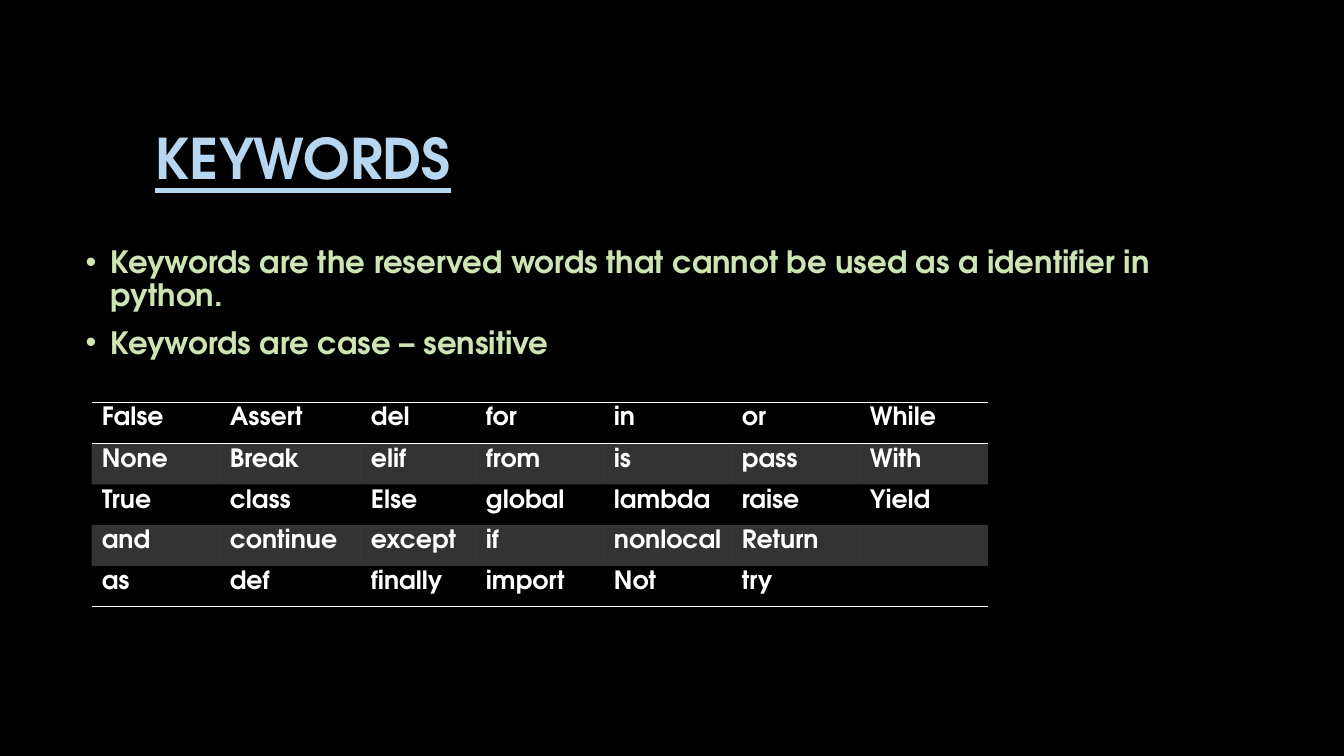
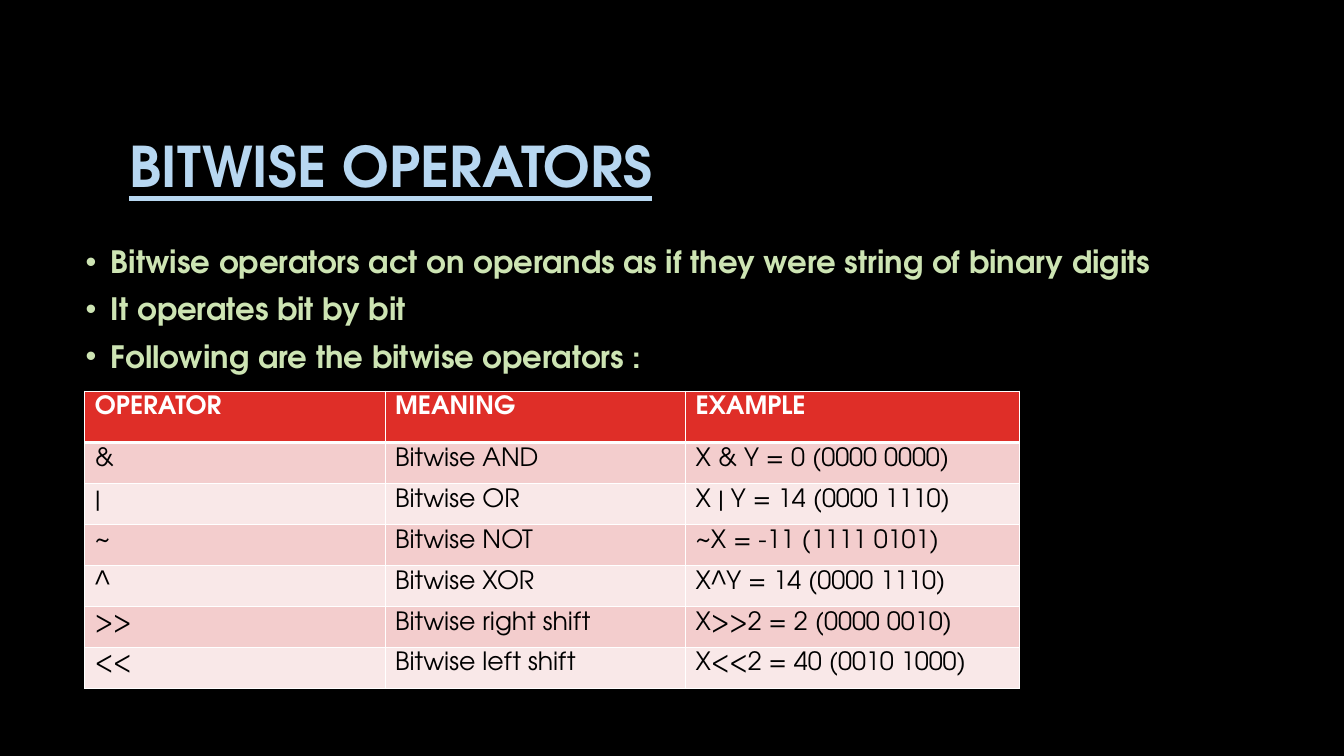
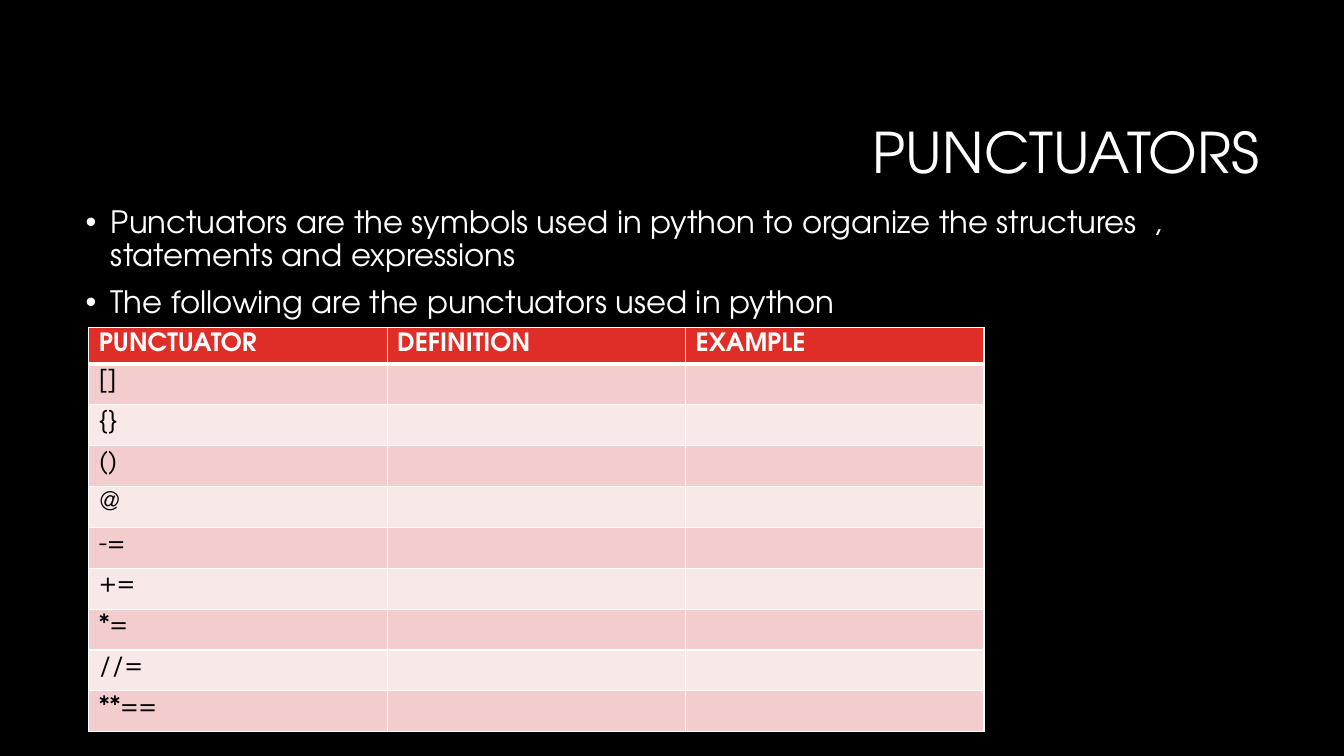
from dataclasses import dataclass

from lxml.etree import SubElement
from pptx import Presentation
from pptx.dml.color import RGBColor
from pptx.enum.text import MSO_ANCHOR, MSO_AUTO_SIZE, PP_ALIGN
from pptx.oxml.ns import qn
from pptx.util import Inches, Pt


@dataclass(frozen=True)
class Theme:
    font: str = "TeX Gyre Adventor"
    back: str = "000000"
    light: str = "FFFFFF"
    dark: str = "000000"
    blue: str = "B7D7F1"
    green: str = "CDE4B3"
    red: str = "DF2E28"
    bands: tuple = ("F3CDCD", "F9E8E8")
    veil: int = 20
    title: int = 40
    body: int = 22
    cell: int = 18
    thin: int = 1
    thick: int = 3
    plain: str = "{2D5ABB26-0587-4C30-8999-92F81FD0307C}"


THEME = Theme()
LEFT, RIGHT = PP_ALIGN.LEFT, PP_ALIGN.RIGHT

SLIDES = [
    {
        "title": "KEYWORDS", "box": (1.44, 0.9, 9.42, 1.41),
        "align": LEFT, "accent": True, "top": 2.4,
        "points": [
            "Keywords are the reserved words that cannot be used as a identifier in python.",
            "Keywords are case – sensitive",
        ],
        "style": "lined", "at": (0.91, 3.99),
        "cols": [1.27, 1.4, 1.14] + [1.27] * 4, "head": 0.41, "high": 2.03,
        "rows": [
            ("False", "Assert", "del", "for", "in", "or", "While"),
            ("None", "Break", "elif", "from", "is", "pass", "With"),
            ("True", "class", "Else", "global", "lambda", "raise", "Yield"),
            ("and", "continue", "except", "if", "nonlocal", "Return", ""),
            ("as", "def", "finally", "import", "Not", "try", ""),
        ],
    },
    {
        "title": "BITWISE OPERATORS", "box": (0, 0.98, 6.57, 1.41),
        "align": RIGHT, "accent": True, "top": 2.4,
        "points": [
            "Bitwise operators act on operands as if they were string of binary digits",
            "It operates bit by bit",
            "Following are the bitwise operators :",
        ],
        "style": "grid", "at": (0.84, 3.88),
        "cols": [2.98, 2.98, 3.31], "head": 0.51, "high": 2.95,
        "rows": [
            ("OPERATOR", "MEANING", "EXAMPLE"),
            ("&", "Bitwise AND", "X & Y = 0 (0000 0000)"),
            ("|", "Bitwise OR", "X | Y = 14 (0000 1110)"),
            ("~", "Bitwise NOT", "~X = -11 (1111 0101)"),
            ("^", "Bitwise XOR", "X^Y = 14 (0000 1110)"),
            (">>", "Bitwise right shift", "X>>2 = 2 (0000 0010)"),
            ("<<", "Bitwise left shift", "X<<2 = 40 (0010 1000)"),
        ],
    },
    {
        "title": "PUNCTUATORS", "box": (3.17, 0.84, 9.42, 1.41),
        "align": RIGHT, "accent": False, "top": 2,
        "points": [
            "Punctuators are the symbols used in python to organize the structures  , "
            "statements and expressions",
            "The following are the punctuators used in python",
        ],
        "style": "grid", "at": (0.88, 3.25),
        "cols": [2.96] * 3, "head": 0.36, "high": 3.6,
        "rows": [("PUNCTUATOR", "DEFINITION", "EXAMPLE")] + [
            (sign, "", "")
            for sign in ("[]", "{}", "()", "@", "-=", "+=", "*=", "//=", "**==")
        ],
    },
]


def place(shape, box):
    shape.left, shape.top, shape.width, shape.height = map(Inches, box)


def write(para, text, size, color, bold=False, line=False):
    run = para.add_run()
    run.text = text
    font = run.font
    font.name, font.size = THEME.font, Pt(size)
    font.bold, font.underline = bold, line
    font.color.rgb = RGBColor.from_string(color)


def frame_of(shape, anchor):
    frame = shape.text_frame
    frame.word_wrap = True
    frame.auto_size = MSO_AUTO_SIZE.NONE
    frame.vertical_anchor = anchor
    return frame


def add_title(slide, data):
    shape = slide.shapes.title
    place(shape, data["box"])
    para = frame_of(shape, MSO_ANCHOR.MIDDLE).paragraphs[0]
    para.alignment, para.line_spacing = data["align"], 0.9
    accent = data["accent"]
    color = THEME.blue if accent else THEME.light
    write(para, data["title"], THEME.title, color, accent, accent)


def add_points(slide, data):
    shape = slide.placeholders[1]
    place(shape, (0.75, data["top"], 11.83, 4.4))
    frame = frame_of(shape, MSO_ANCHOR.TOP)
    accent = data["accent"]
    color = THEME.green if accent else THEME.light
    for i, text in enumerate(data["points"]):
        para = frame.add_paragraph() if i else frame.paragraphs[0]
        para.alignment, para.line_spacing = LEFT, 0.9
        para.space_before = Pt(10)
        props = para._p.get_or_add_pPr()
        props.set("marL", str(Inches(0.25)))
        props.set("indent", str(Inches(-0.25)))
        SubElement(props, qn("a:buFont"), typeface="Arial")
        SubElement(props, qn("a:buChar"), char="•")
        write(para, text, THEME.body, color, accent)


def look(style, r, last):
    """Return the text colour, boldness, fill, opacity and borders of row r."""
    if style == "lined":
        edges = {}
        if r < 2:
            edges["T"] = THEME.thin
        if r in (0, last):
            edges["B"] = THEME.thin
        fill = THEME.light if r % 2 else None
        return THEME.light, True, fill, THEME.veil, edges
    edges = dict.fromkeys("LRTB", THEME.thin)
    if r < 2:
        edges["T" if r else "B"] = THEME.thick
    if r == 0:
        return THEME.light, True, THEME.red, 100, edges
    return THEME.dark, False, THEME.bands[(r - 1) % 2], 100, edges


def paint(cell, fill, alpha, edges):
    props = cell._tc.get_or_add_tcPr()
    for side in "LRTB":
        line = SubElement(props, qn("a:ln" + side))
        if side in edges:
            line.set("w", str(Pt(edges[side])))
            solid = SubElement(line, qn("a:solidFill"))
            SubElement(solid, qn("a:srgbClr"), val=THEME.light)
        else:
            SubElement(line, qn("a:noFill"))
    if fill is None:
        cell.fill.background()
        return
    cell.fill.solid()
    cell.fill.fore_color.rgb = RGBColor.from_string(fill)
    if alpha < 100:
        color = props.find(qn("a:solidFill")).find(qn("a:srgbClr"))
        SubElement(color, qn("a:alpha"), val=str(alpha * 1000))


def add_grid(slide, data):
    rows, cols = data["rows"], data["cols"]
    head, high, last = data["head"], data["high"], len(rows) - 1
    highs = [head] + [(high - head) / last] * last
    box = (*data["at"], sum(cols), high)
    shape = slide.shapes.add_table(len(rows), len(cols), *map(Inches, box))
    table = shape.table
    table.first_row = table.horz_banding = False
    for style in shape._element.iter(qn("a:tableStyleId")):
        style.text = THEME.plain
    for col, width in zip(table.columns, cols):
        col.width = Inches(width)
    for r, texts in enumerate(rows):
        table.rows[r].height = Inches(highs[r])
        color, bold, fill, alpha, edges = look(data["style"], r, last)
        for c, text in enumerate(texts):
            cell = table.cell(r, c)
            cell.margin_top = cell.margin_bottom = Inches(0.05)
            paint(cell, fill, alpha, edges)
            if text:
                para = cell.text_frame.paragraphs[0]
                write(para, text, THEME.cell, color, bold)


def main():
    deck = Presentation()
    deck.slide_width, deck.slide_height = Inches(13.33), Inches(7.5)
    back = deck.slide_master.background.fill
    back.solid()
    back.fore_color.rgb = RGBColor.from_string(THEME.back)
    for data in SLIDES:
        slide = deck.slides.add_slide(deck.slide_layouts[1])
        add_title(slide, data)
        add_points(slide, data)
        add_grid(slide, data)
    deck.save("out.pptx")


if __name__ == "__main__":
    main()
